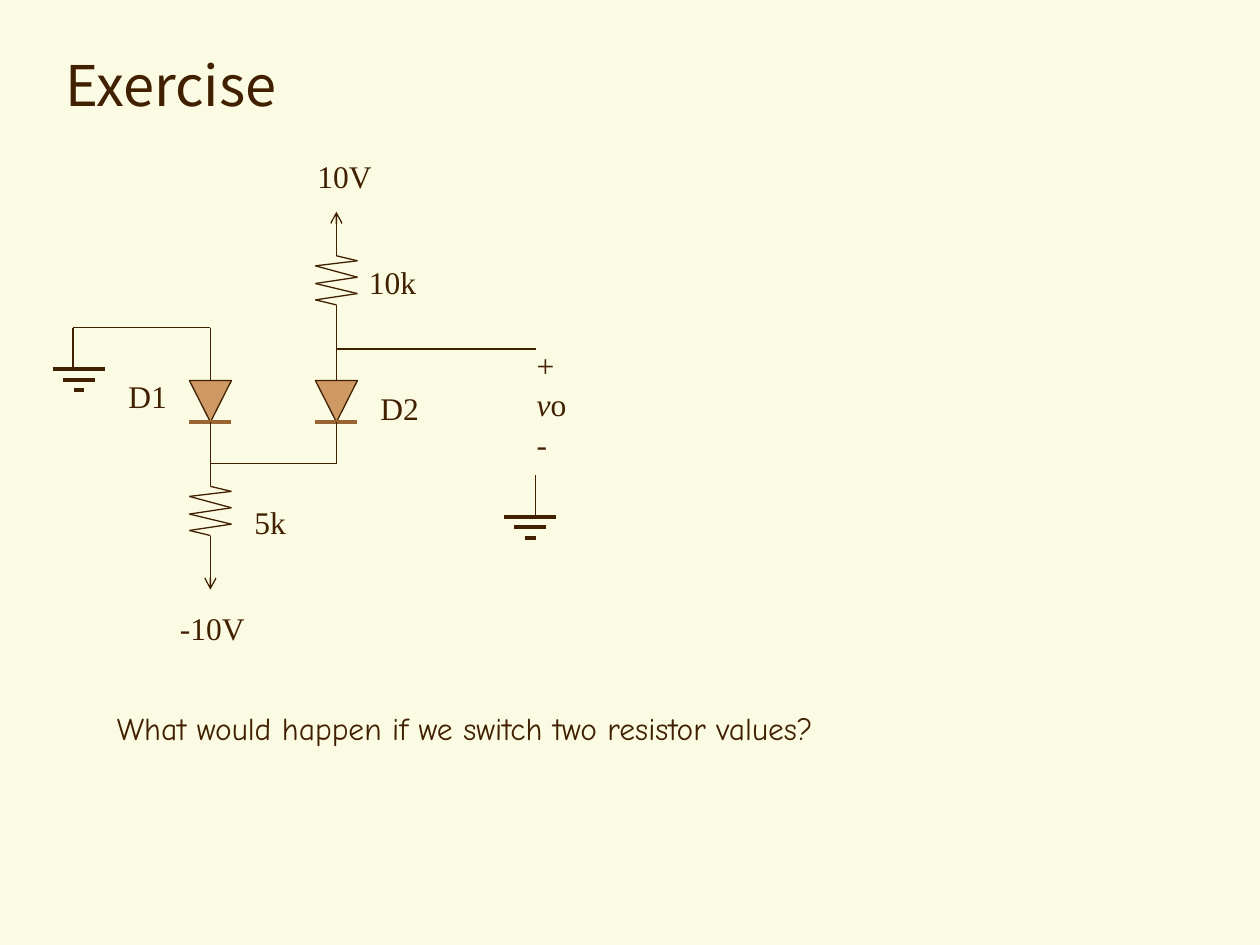
from dataclasses import dataclass
from itertools import pairwise
from typing import NamedTuple

from lxml.etree import SubElement
from pptx import Presentation
from pptx.dml.color import RGBColor as RGB
from pptx.enum.shapes import MSO_CONNECTOR as CONN, MSO_SHAPE as SHAPE
from pptx.enum.text import MSO_ANCHOR as ANCHOR
from pptx.oxml.ns import qn
from pptx.util import Inches, Pt


@dataclass(frozen=True)
class Theme:
    background: RGB = RGB(0xFB, 0xFA, 0xE2)
    ink: RGB = RGB(0x40, 0x20, 0x00)
    diode: RGB = RGB(0xCE, 0x99, 0x64)
    cathode: RGB = RGB(0x99, 0x66, 0x33)
    title_font: str = "Noto Sans CJK KR"
    label_font: str = "Times New Roman"
    question_font: str = "Comic Neue"
    title_size: float = 32
    body_size: float = 18
    thin: float = 0.75
    thick: float = 2.25


class Point(NamedTuple):
    x: float
    y: float


class Run(NamedTuple):
    text: str
    italic: bool = False


@dataclass(frozen=True)
class Label:
    left: float
    top: float
    width: float
    height: float
    lines: tuple[tuple[Run, ...], ...]
    font: str
    size: float
    spacing: float = 1.0
    anchor: ANCHOR = ANCHOR.TOP
    wrap: bool = True


THEME = Theme()
STEP = 1 / 12
LEFT_X, RIGHT_X, OUT_X, GROUND_X = 1.67, 2.67, 4.25, 0.58
TOP_Y, OUT_Y, ANODE_Y, CATHODE_Y, JOIN_Y = 2.6, 2.77, 3.02, 3.35, 3.68
HALF = 2 * STEP
ZIGZAG = (
    (0, 0), (0, 0.18), (1, 0.22), (-1, 0.26), (1, 0.35),
    (-1, 0.4), (1, 0.48), (-1, 0.53), (0, 0.57), (0, 0.75),
)
WIRES = (
    (Point(GROUND_X, 2.93), Point(GROUND_X, TOP_Y), Point(LEFT_X, TOP_Y),
     Point(LEFT_X, ANODE_Y)),
    (Point(LEFT_X, CATHODE_Y), Point(LEFT_X, JOIN_Y), Point(RIGHT_X, JOIN_Y),
     Point(RIGHT_X, CATHODE_Y)),
    (Point(RIGHT_X, TOP_Y), Point(RIGHT_X, ANODE_Y)),
    (Point(RIGHT_X, OUT_Y), Point(OUT_X, OUT_Y)),
    (Point(OUT_X, 3.77), Point(OUT_X, 4.1)),
)
SUPPLIES = (
    (Point(RIGHT_X, 1.85), Point(RIGHT_X, 1.68)),
    (Point(LEFT_X, 4.43), Point(LEFT_X, 4.68)),
)


def circuit_label(left: float, top: float, *lines: tuple[Run, ...],
                  width: float = 0.68, height: float = 0.4) -> Label:
    return Label(left, top, width, height, lines, THEME.label_font,
                 THEME.body_size, spacing=1.05)


LABELS = (
    Label(0.42, 0.25, 9.17, 0.83, ((Run("Exercise"),),), THEME.title_font,
          THEME.title_size, anchor=ANCHOR.MIDDLE),
    circuit_label(0.92, 2.93, (Run("D1"),)),
    circuit_label(2.92, 3.02, (Run("D2"),)),
    circuit_label(2.83, 2.02, (Run("10k"),)),
    circuit_label(2.42, 1.18, (Run("10V"),)),
    circuit_label(1.33, 4.77, (Run("-10V"),), width=1.17),
    circuit_label(1.92, 3.93, (Run("5k"),)),
    circuit_label(4.16, 2.68, (Run("+"),), (Run("v", True), Run("o")),
                  (Run("-"),), height=1),
    Label(0.83, 5.58, 5.76, 0.4,
          ((Run("What would happen if we switch two resistor values?"),),),
          THEME.question_font, THEME.body_size, wrap=False),
)


def draw_label(shapes, label: Label) -> None:
    box = (label.left, label.top, label.width, label.height)
    tf = shapes.add_textbox(*map(Inches, box)).text_frame
    tf.word_wrap, tf.vertical_anchor = label.wrap, label.anchor
    for i, line in enumerate(label.lines):
        p = tf.add_paragraph() if i else tf.paragraphs[0]
        p.line_spacing = label.spacing
        for text, italic in line:
            r = p.add_run()
            r.text = text
            r.font.color.rgb = THEME.ink
            fmt = {"name": label.font, "size": Pt(label.size), "italic": italic}
            for name, value in fmt.items():
                setattr(r.font, name, value)


def draw_line(shapes, start: Point, end: Point, color: RGB = THEME.ink,
              width: float = THEME.thin, arrow: bool = False) -> None:
    sp = shapes.add_connector(CONN.STRAIGHT, *map(Inches, (*start, *end)))
    sp.line.color.rgb = color
    sp.line.width = Pt(width)
    props = sp._element.spPr
    if arrow:
        SubElement(props.find(qn("a:ln")), qn("a:tailEnd"), type="arrow")
    SubElement(props, qn("a:effectLst"))


def draw_path(shapes, points: tuple[Point, ...]) -> None:
    for start, end in pairwise(points):
        draw_line(shapes, start, end)


def draw_diode(shapes, x: float) -> None:
    group = shapes.add_group_shape().shapes
    box = (x - HALF, ANODE_Y, 2 * HALF, CATHODE_Y - ANODE_Y)
    sp = group.add_shape(SHAPE.ISOSCELES_TRIANGLE, *map(Inches, box))
    sp.rotation = 180
    sp.shadow.inherit = False
    sp.fill.solid()
    sp.fill.fore_color.rgb = THEME.diode
    sp.line.color.rgb = THEME.ink
    sp.line.width = Pt(THEME.thin)
    draw_line(group, Point(x + HALF, CATHODE_Y), Point(x - HALF, CATHODE_Y),
              THEME.cathode, THEME.thick)


def draw_resistor(shapes, top: Point) -> None:
    points = tuple(Point(top.x + side * HALF, top.y + dy) for side, dy in ZIGZAG)
    draw_path(shapes.add_group_shape().shapes, points)


def draw_ground(shapes, corner: Point) -> None:
    group = shapes.add_group_shape().shapes
    for i, steps in enumerate((5, 3, 1)):
        start = Point(corner.x + i * STEP, corner.y + i * STEP)
        draw_line(group, start, Point(start.x + steps * STEP, start.y),
                  width=THEME.thick)


def main() -> None:
    """Build the two-diode circuit exercise slide."""
    prs = Presentation()
    prs.slide_width, prs.slide_height = Inches(10), Inches(7.5)
    s = prs.slides.add_slide(prs.slide_layouts[6])
    s.background.fill.solid()
    s.background.fill.fore_color.rgb = THEME.background
    for x in (RIGHT_X, LEFT_X):
        draw_diode(s.shapes, x)
    for top in (Point(RIGHT_X, 1.85), Point(LEFT_X, JOIN_Y)):
        draw_resistor(s.shapes, top)
    for wire in WIRES:
        draw_path(s.shapes, wire)
    for start, end in SUPPLIES:
        draw_line(s.shapes, start, end, arrow=True)
    for corner in (Point(4, 4.1), Point(0.42, 2.93)):
        draw_ground(s.shapes, corner)
    for label in LABELS:
        draw_label(s.shapes, label)
    prs.save("out.pptx")


if __name__ == "__main__":
    main()
